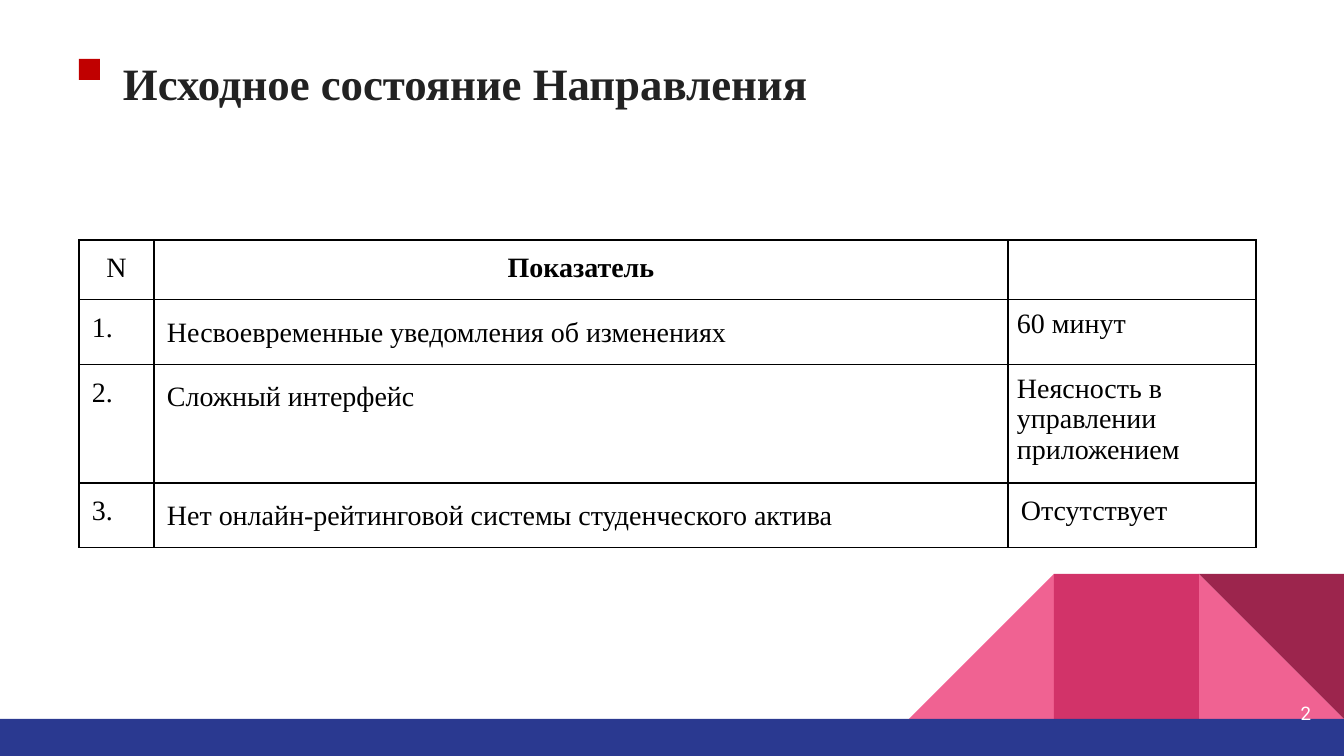
from lxml import etree
from pptx import Presentation
from pptx.dml.color import RGBColor
from pptx.enum.shapes import MSO_SHAPE
from pptx.enum.text import MSO_ANCHOR, PP_ALIGN
from pptx.oxml.ns import qn
from pptx.util import Emu, Pt

RECT, TRI = MSO_SHAPE.RECTANGLE, MSO_SHAPE.RIGHT_TRIANGLE
LEFT, MID, RIGHT = PP_ALIGN.LEFT, PP_ALIGN.CENTER, PP_ALIGN.RIGHT
TOP, CENTER = MSO_ANCHOR.TOP, MSO_ANCHOR.MIDDLE

COLORS = {
    "pink": "F06292", "rose": "D23369", "wine": "9C254D", "navy": "2A3990",
    "red": "C00000", "ink": "222222", "black": "000000", "white": "FFFFFF",
}
FONTS = {
    "title": {"name": "Times New Roman", "size": Pt(24), "bold": True},
    "head": {"name": "Times New Roman", "size": Pt(15), "bold": True},
    "body": {"name": "Times New Roman", "size": Pt(15), "bold": False},
    "page": {"name": "Roboto", "size": Pt(10), "bold": False},
}
SIDES = ("left", "top", "right", "bottom")


def px(num):
    return Emu(round(num * 914400 / 134.4))


def rgb(name):
    return RGBColor.from_string(COLORS[name])


class Deck:
    def __init__(self, wide, high):
        self.prs = Presentation()
        self.prs.slide_width, self.prs.slide_height = px(wide), px(high)
        self.slide = self.prs.slides.add_slide(self.prs.slide_layouts[6])

    def shape(self, kind, box, color, turn=0):
        item = self.slide.shapes.add_shape(kind, *map(px, box))
        item.shadow.inherit = False
        item.fill.solid()
        item.fill.fore_color.rgb = rgb(color)
        item.line.fill.background()
        item.rotation = turn

    def words(self, frame, text, font, color, align=LEFT, space=None):
        para = frame.paragraphs[0]
        para.alignment, para.line_spacing = align, space
        run = para.add_run()
        run.text = text
        for key, value in FONTS[font].items():
            setattr(run.font, key, value)
        run.font.color.rgb = rgb(color)

    def inset(self, item, pads):
        for side, pad in zip(SIDES, pads):
            setattr(item, f"margin_{side}", px(pad))

    def text(self, box, text, font, color, pads, align=LEFT, anchor=TOP):
        frame = self.slide.shapes.add_textbox(*map(px, box)).text_frame
        frame.word_wrap, frame.vertical_anchor = True, anchor
        self.inset(frame, pads)
        self.words(frame, text, font, color, align)

    def edge(self, cell):
        """Draw a thin black border on all four sides."""
        props = cell._tc.get_or_add_tcPr()
        for side in "LRTB":
            line = etree.SubElement(props, qn(f"a:ln{side}"), w=str(Pt(0.75)))
            fill = etree.SubElement(line, qn("a:solidFill"))
            etree.SubElement(fill, qn("a:srgbClr"), val=COLORS["black"])

    def table(self, left, top, cols, highs, rows):
        box = (left, top, sum(cols), sum(highs))
        grid = self.slide.shapes.add_table(len(rows), len(cols), *map(px, box)).table
        grid.first_row = grid.horz_banding = False
        for col, wide in zip(grid.columns, cols):
            col.width = px(wide)
        for row, high, texts in zip(grid.rows, highs, rows):
            row.height = px(high)
            for cell, (text, style) in zip(row.cells, texts):
                self.edge(cell)
                cell.fill.background()
                pad, font, align, space = style
                self.inset(cell, [pad] * 4)
                if text:
                    self.words(cell.text_frame, text, font, "black", align, space)


def main():
    deck = Deck(1344, 756)

    side, top, base = 145, 574, 719
    start = 1344 - 3 * side
    blocks = [
        (TRI, 2, "pink", 0), (TRI, 0, "pink", 270),
        (RECT, 1, "rose", 0), (TRI, 2, "wine", 180),
    ]
    for kind, step, color, turn in blocks:
        deck.shape(kind, (start + step * side, top, side, side), color, turn)
    deck.shape(RECT, (0, base, 1344, 37), "navy")
    deck.text((1243, 684, 81, 58), "2", "page", "white", [13] * 4, RIGHT, CENTER)

    deck.shape(RECT, (79, 59, 21, 21), "red")
    deck.text((110, 49, 910, 95), "Исходное состояние Направления",
              "title", "ink", (13, 7, 13, 7))

    # Cell styles: padding, font, alignment, line spacing
    num = (13, "body", LEFT, None)
    name = (13, "body", LEFT, 1.15)
    note = (9, "body", LEFT, None)
    rows = [
        [("N", (13, "body", MID, None)), ("Показатель", (13, "head", MID, None)),
         ("", note)],
        [("1.", num), ("Несвоевременные уведомления об изменениях", name),
         ("60 минут", note)],
        [("2.", num), ("Сложный интерфейс", name),
         ("Неясность в управлении приложением", note)],
        [("3.", num), ("Нет онлайн-рейтинговой системы студенческого актива", name),
         ("Отсутствует", num)],
    ]
    deck.table(79, 240, (75, 854, 248), (58, 62, 111, 63), rows)
    deck.prs.save("out.pptx")


if __name__ == "__main__":
    main()
